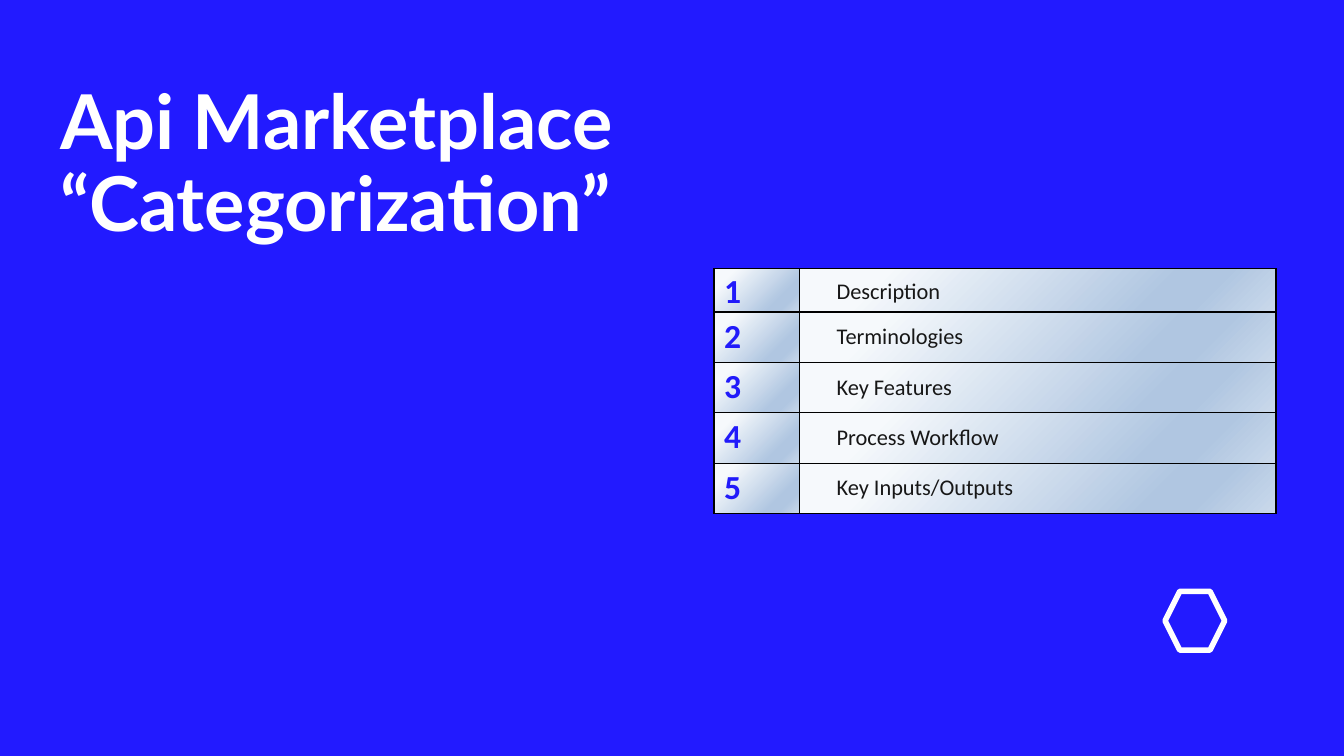
from dataclasses import dataclass

from lxml.etree import SubElement
from pptx import Presentation
from pptx.dml.color import RGBColor
from pptx.enum.shapes import MSO_SHAPE
from pptx.oxml.ns import qn
from pptx.util import Emu, Inches, Pt

# Grid: 160 columns by 90 rows, each square a twelfth of an inch
UNIT = Inches(1) // 12
COLUMNS, ROWS = 160, 90

BLUE, WHITE, DIGIT_BLUE, INK, BLACK = "221AFF", "FFFFFF", "211AFA", "171717", "000000"
CELL_GRADIENT = [(17, "F6F9FC"), (74, "B0C6E1"), (83, "B0C6E1"), (100, "CAD9EB")]


@dataclass
class AgendaItem:
    topic: str
    height: float = 6
    digit_top: float = 0.5
    topic_top: float = 1.35


AGENDA = [
    AgendaItem("Description", height=5.15, digit_top=0.32, topic_top=1.15),
    AgendaItem("Terminologies"),
    AgendaItem("Key Features"),
    AgendaItem("Process Workflow"),
    AgendaItem("Key Inputs/Outputs"),
]


def grid(squares: float) -> Emu:
    return Emu(round(squares * UNIT))


def color(hex_code: str) -> RGBColor:
    return RGBColor.from_string(hex_code)


def write(frame, text: str, *, size: float, ink: str, font: str,
          bold: bool = False, leading: float | None = None) -> None:
    paragraph = frame.paragraphs[0]
    paragraph.text = text
    if leading:
        paragraph.line_spacing = Pt(leading)
    for run in paragraph.runs:
        run.font.name, run.font.size, run.font.bold = font, Pt(size), bold
        run.font.color.rgb = color(ink)


def set_margins(box, left: float = 0, top: float = 0) -> None:
    box.margin_left, box.margin_top = grid(left), grid(top)
    box.margin_right = box.margin_bottom = 0


def decorate(cell) -> None:
    """Give a cell black borders and the diagonal gradient."""
    properties = cell._tc.get_or_add_tcPr()
    for side in "LRTB":
        border = SubElement(properties, qn(f"a:ln{side}"), w=str(Pt(1)))
        fill = SubElement(border, qn("a:solidFill"))
        SubElement(fill, qn("a:srgbClr"), val=BLACK)
    gradient = SubElement(properties, qn("a:gradFill"), rotWithShape="1")
    stops = SubElement(gradient, qn("a:gsLst"))
    for percent, shade in CELL_GRADIENT:
        stop = SubElement(stops, qn("a:gs"), pos=str(percent * 1000))
        SubElement(stop, qn("a:srgbClr"), val=shade)
    SubElement(gradient, qn("a:lin"), ang=str(45 * 60000), scaled="0")


def add_title(slide) -> None:
    title = slide.shapes.add_textbox(grid(7), grid(8.5), grid(77), grid(20.9)).text_frame
    title.word_wrap = True
    set_margins(title, left=0.15, top=1.4)
    write(title, "Api Marketplace\v“Categorization”", size=54, ink=WHITE,
          font="Lato", bold=True, leading=58.3)


def add_agenda(slide) -> None:
    widths = (10.2, 56.7)
    height = sum(item.height for item in AGENDA)
    agenda = slide.shapes.add_table(len(AGENDA), len(widths), grid(85), grid(32),
                                    grid(sum(widths)), grid(height)).table
    agenda.first_row = agenda.horz_banding = False
    for column, width in zip(agenda.columns, widths):
        column.width = grid(width)
    for number, (row, item) in enumerate(zip(agenda.rows, AGENDA), start=1):
        row.height = grid(item.height)
        digit, topic = row.cells
        set_margins(digit, left=1.2, top=item.digit_top)
        set_margins(topic, left=4.4, top=item.topic_top)
        write(digit.text_frame, str(number), size=24, ink=DIGIT_BLUE,
              font="Calibri", bold=True)
        write(topic.text_frame, item.topic, size=16, ink=INK, font="Calibri")
        decorate(digit)
        decorate(topic)


def add_emblem(slide) -> None:
    emblem = slide.shapes.add_shape(MSO_SHAPE.HEXAGON, grid(138.7), grid(70.4),
                                    grid(7.1), grid(7))
    emblem.shadow.inherit = False
    emblem.fill.background()
    emblem.line.color.rgb = color(WHITE)
    emblem.line.width = Pt(4)


def main() -> None:
    deck = Presentation()
    deck.slide_width, deck.slide_height = grid(COLUMNS), grid(ROWS)
    slide = deck.slides.add_slide(deck.slide_layouts[6])

    # Blue backdrop
    slide.background.fill.solid()
    slide.background.fill.fore_color.rgb = color(BLUE)

    add_emblem(slide)
    add_title(slide)
    add_agenda(slide)
    deck.save("out.pptx")


if __name__ == "__main__":
    main()
